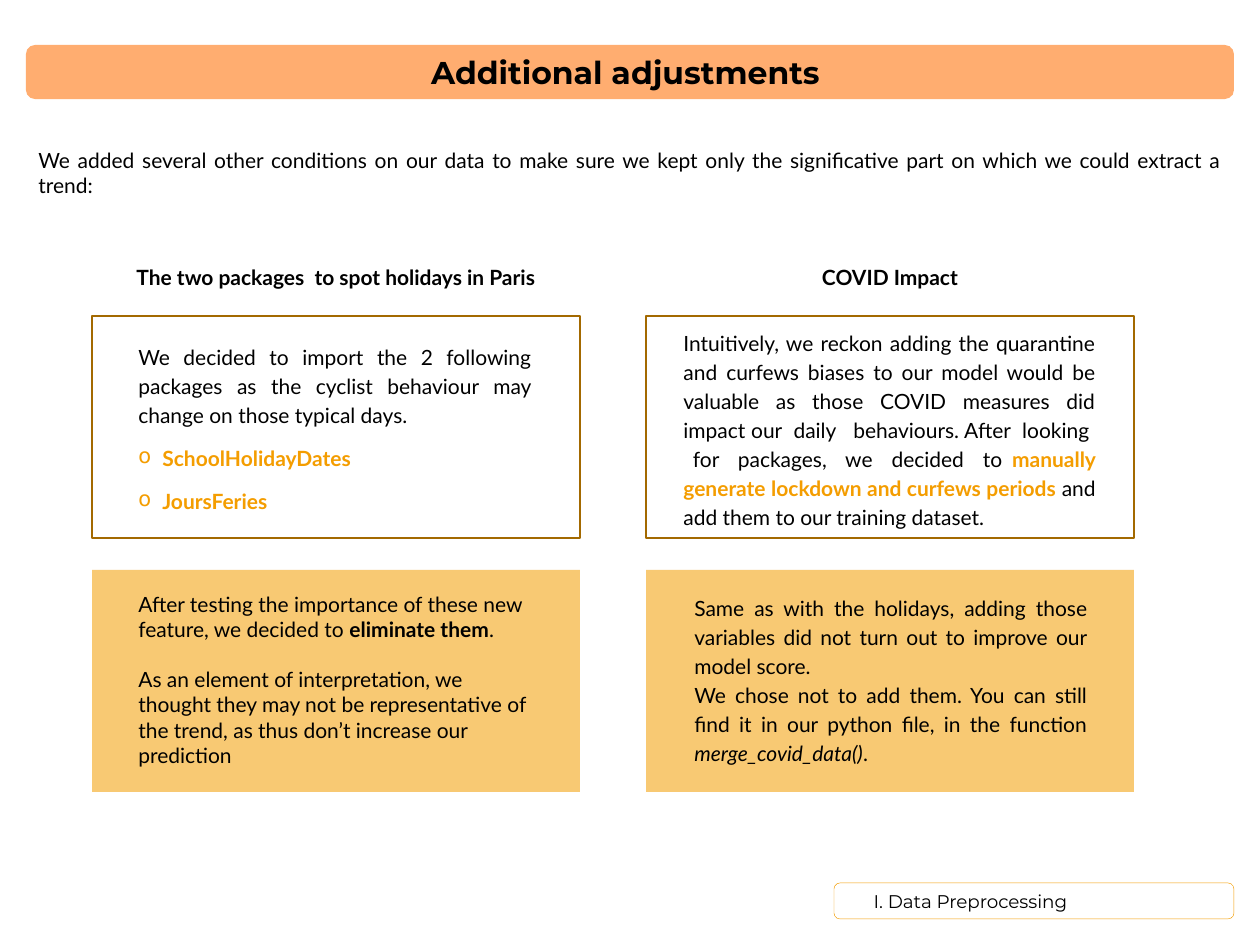
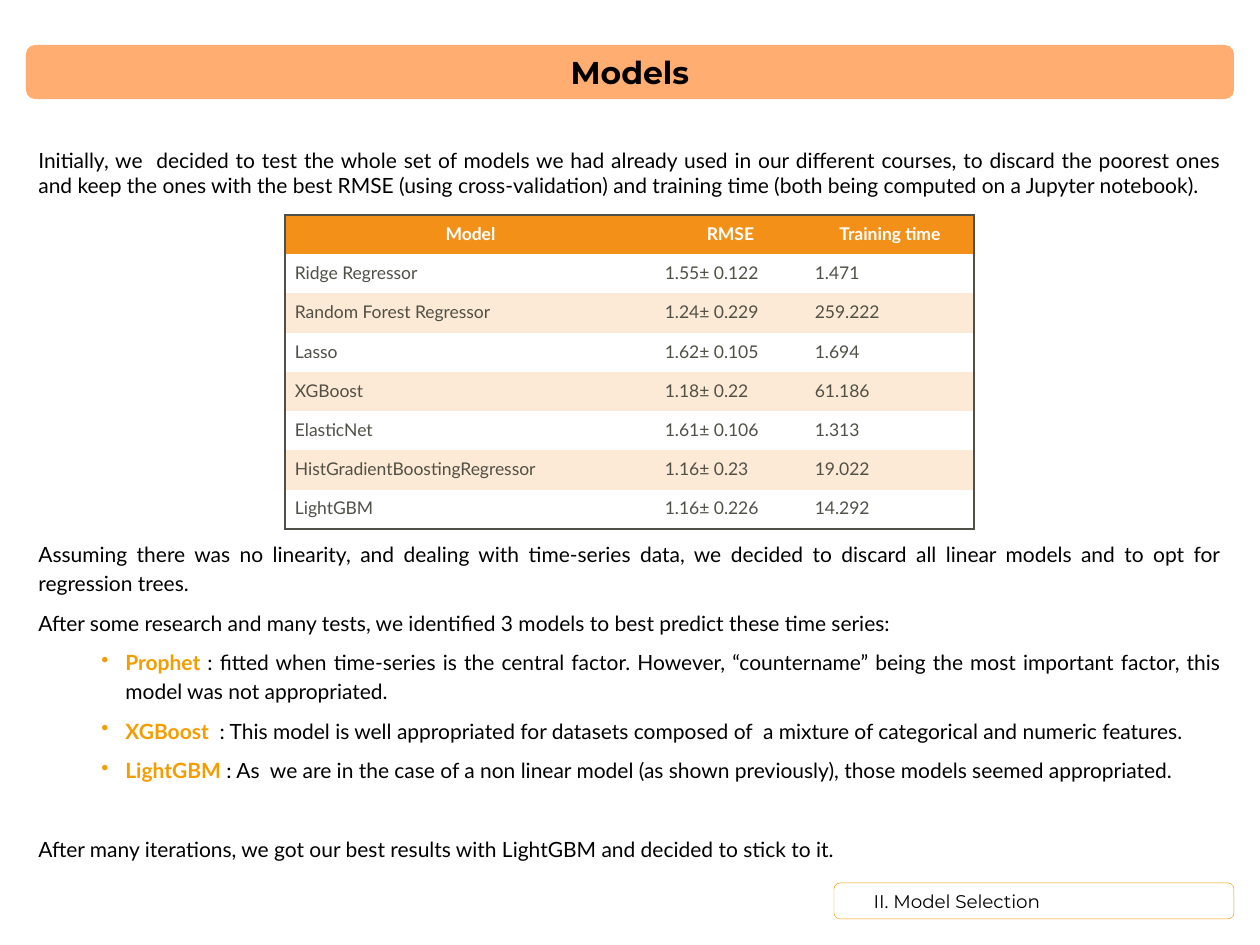
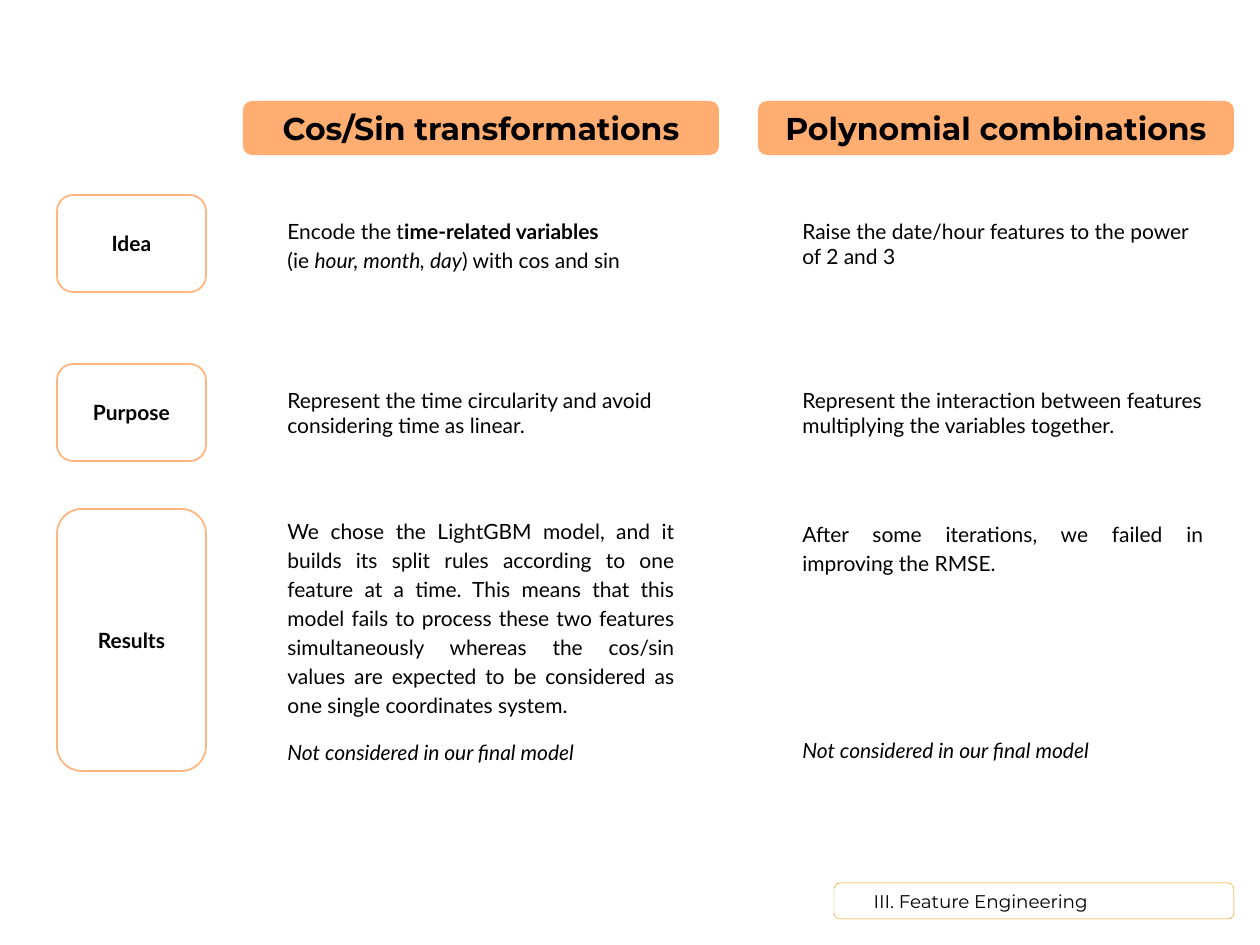
from lxml import etree
from pptx import Presentation
from pptx.dml.color import RGBColor
from pptx.enum.shapes import MSO_SHAPE
from pptx.enum.text import MSO_ANCHOR, PP_ALIGN
from pptx.oxml.ns import qn
from pptx.util import Emu, Pt

ROUNDED, RECT = MSO_SHAPE.ROUNDED_RECTANGLE, MSO_SHAPE.RECTANGLE
LEFT, CENTER, JUSTIFY = PP_ALIGN.LEFT, PP_ALIGN.CENTER, PP_ALIGN.JUSTIFY
TOP, MIDDLE = MSO_ANCHOR.TOP, MSO_ANCHOR.MIDDLE
PX_PER_INCH = 126


class Theme:
    # Colours
    black, white, grey = "000000", "FFFFFF", "505046"
    band, accent, card_line, label_line = "FF8427", "F49D00", "A36900", "FFB57D"
    header, stripe = "F39017", "FDEAD6"
    # Type
    title = {"name": "Montserrat", "size": Pt(18), "bold": True, "color": black}
    footer = {"name": "Montserrat", "size": Pt(10.5), "color": black}
    body = {"name": "Lato", "size": Pt(12), "color": black}
    heading = {**body, "bold": True}
    cell = {"name": "Lato", "size": Pt(10), "color": grey}
    header_cell = {**cell, "color": white, "bold": True}
    # Run emphasis
    strong, italic = {"bold": True}, {"italic": True}
    key = {"bold": True, "color": accent}
    # Paragraph formats
    loose = {"alignment": JUSTIFY, "line_spacing": 1.15}
    spaced = {**loose, "space_before": Pt(6)}


def px(length):
    return Emu(round(length * 914400 / PX_PER_INCH))


def rgb(color):
    return RGBColor.from_string(color)


def apply(target, values):
    for attribute, value in values.items():
        setattr(target, attribute, value)


# ---- Text ----
def para(*runs, bullet=None, margin=0, hang=0, **layout):
    """Describe a paragraph; a run is a string or a (string, style) pair."""
    return {"runs": runs, "bullet": bullet, "margin": margin, "hang": hang,
            "layout": layout}


def add_run(paragraph, words, style):
    run = paragraph.add_run()
    run.text = words
    apply(run.font, {k: v for k, v in style.items() if k != "color"})
    run.font.color.rgb = rgb(style["color"])


def fill_paragraph(paragraph, content, style):
    apply(paragraph, content["layout"])
    properties = paragraph._p.get_or_add_pPr()
    if content["margin"]:
        properties.set("marL", str(px(content["margin"])))
        properties.set("indent", str(-px(content["hang"])))
    if content["bullet"]:
        etree.SubElement(properties, qn("a:buChar")).set("char", content["bullet"])
    for run in content["runs"]:
        words, emphasis = (run, {}) if isinstance(run, str) else run
        add_run(paragraph, words, {**style, **emphasis})


def write(frame, paragraphs, style, **frame_format):
    apply(frame, {"word_wrap": True, **frame_format})
    for index, content in enumerate(paragraphs):
        paragraph = frame.add_paragraph() if index else frame.paragraphs[0]
        fill_paragraph(paragraph, content, style)


def add_text(slide, box, *paragraphs, style=Theme.body):
    textbox = slide.shapes.add_textbox(*map(px, box))
    write(textbox.text_frame, paragraphs, style, vertical_anchor=TOP)


# ---- Panels ----
def add_panel(slide, kind, box, fill=None, opacity=100, line=None, width=1):
    panel = slide.shapes.add_shape(kind, *map(px, box))
    panel.shadow.inherit = False
    if fill:
        panel.fill.solid()
        panel.fill.fore_color.rgb = rgb(fill)
        if opacity < 100:
            color = panel.fill._xPr.find(".//" + qn("a:srgbClr"))
            etree.SubElement(color, qn("a:alpha")).set("val", str(opacity * 1000))
    else:
        panel.fill.background()
    if line:
        panel.line.color.rgb = rgb(line)
        panel.line.width = Pt(width)
    else:
        panel.line.fill.background()
    return panel


def add_band(slide, title, left=26, top=45, width=1208):
    band = add_panel(slide, ROUNDED, (left, top, width, 54), Theme.band, 66)
    write(band.text_frame, [para(title, alignment=CENTER)], Theme.title,
          vertical_anchor=MIDDLE)


def add_footer(slide, section):
    footer = add_panel(slide, ROUNDED, (834, 883, 400, 36),
                       line=Theme.accent, width=0.25)
    write(footer.text_frame, [para(section, margin=25, alignment=LEFT)],
          Theme.footer, vertical_anchor=MIDDLE,
          margin_left=px(13), margin_right=px(13))


def add_intro(slide, words):
    add_text(slide, (26, 141, 1208, 65), para(words, alignment=JUSTIFY))


def add_label(slide, words, top, height):
    label = add_panel(slide, ROUNDED, (57, top, 149, height), line=Theme.label_line)
    write(label.text_frame, [para(words, alignment=CENTER)], Theme.heading,
          vertical_anchor=MIDDLE)


def add_topic(slide, left, heading):
    """A heading above an outlined card and a tinted card."""
    add_text(slide, (left, 258, 488, 63), para(heading, alignment=CENTER),
             style=Theme.heading)
    add_panel(slide, RECT, (left, 316, 488, 222), Theme.white, line=Theme.card_line)
    add_panel(slide, RECT, (left, 570, 488, 222), Theme.accent, 55)


# ---- Table ----
def set_borders(cell, edges):
    """Draw the edges that are True and clear the others."""
    properties = cell._tc.get_or_add_tcPr()
    for index, (side, drawn) in enumerate(edges.items()):
        line = etree.Element(qn("a:ln" + side), w=str(Pt(1)))
        if drawn:
            solid = etree.SubElement(line, qn("a:solidFill"))
            etree.SubElement(solid, qn("a:srgbClr")).set("val", Theme.grey)
        else:
            etree.SubElement(line, qn("a:noFill"))
        properties.insert(index, line)


def add_scores(slide, left, top, height, widths, rows):
    box = (left, top, sum(widths), height)
    table = slide.shapes.add_table(len(rows), len(widths), *map(px, box)).table
    apply(table, {"first_row": False, "horz_banding": False})
    for column, width in zip(table.columns, widths):
        column.width = px(width)
    last_row, last_column = len(rows) - 1, len(widths) - 1
    margins = {"margin_left": px(10), "margin_top": px(5),
               "margin_right": px(9), "margin_bottom": 0}
    for r, row in enumerate(rows):
        fill = (Theme.white, Theme.stripe)[r % 2 == 0] if r else Theme.header
        for c, words in enumerate(row):
            cell = table.cell(r, c)
            apply(cell, margins)
            cell.fill.solid()
            cell.fill.fore_color.rgb = rgb(fill)
            set_borders(cell, {"L": c == 0, "R": c == last_column,
                               "T": r == 0, "B": r == last_row})
            content = para(words, alignment=LEFT if r else CENTER, line_spacing=1.15)
            write(cell.text_frame, [content], Theme.cell if r else Theme.header_cell)


# ---- Slides ----
def build_adjustments(slide):
    add_band(slide, "Additional adjustments ")
    add_footer(slide, "I. Data Preprocessing")
    add_intro(slide, "We added several other conditions on our data to make sure we "
              "kept only the significative part on which we could extract a trend: ")

    # Holidays
    add_topic(slide, 92, "The two packages  to spot holidays in Paris")
    padded = {**Theme.loose, "space_before": Pt(4), "space_after": Pt(4)}
    packages = [para((name, Theme.key), bullet="o", margin=24, hang=24, **padded)
                for name in ("SchoolHolidayDates", "JoursFeries")]
    add_text(slide, (126, 335, 418, 184),
             para("We decided to import the 2 following packages as the cyclist "
                  "behaviour may change on those typical days. ", **padded),
             *packages)
    add_text(slide, (126, 585, 418, 190),
             para("After testing the importance of these new feature, we decided to ",
                  ("eliminate them", Theme.strong), "."),
             para("As an element of interpretation, we thought they may not be "
                  "representative of the trend, as thus don’t increase our prediction",
                  space_before=Pt(14.4)))

    # COVID
    add_topic(slide, 646, "COVID Impact")
    add_text(slide, (671, 321, 437, 215),
             para("Intuitively, we reckon adding the quarantine and curfews biases to "
                  "our model would be valuable as those COVID measures did impact our  "
                  "daily   behaviours. After  looking   for  packages,  we  decided  to ",
                  ("manually generate lockdown and curfews periods ", Theme.key),
                  "and add them to our training dataset. ", **Theme.loose))
    add_text(slide, (682, 586, 418, 185),
             para("Same as with the holidays, adding those variables did not turn out "
                  "to improve our model score. ", **Theme.loose),
             para("We chose not to add them. You can still find it in our python file, "
                  "in the function ", ("merge_covid_data()", Theme.italic), ". ",
                  **Theme.loose))


def build_models(slide):
    add_band(slide, "Models")
    add_footer(slide, "II. Model Selection")
    add_intro(slide, "Initially, we  decided to test the whole set of models we had "
              "already used in our different courses, to discard the poorest ones and "
              "keep the ones with the best RMSE (using cross-validation) and training "
              "time (both being computed on a Jupyter notebook).")
    add_scores(slide, 285, 215, 314, (370, 150, 169), [
        ("Model", "RMSE", "Training time"),
        ("Ridge Regressor", "1.55± 0.122", "1.471"),
        ("Random Forest Regressor", "1.24± 0.229", "259.222"),
        ("Lasso", "1.62± 0.105", "1.694"),
        ("XGBoost", "1.18± 0.22", "61.186"),
        ("ElasticNet", "1.61± 0.106", "1.313"),
        ("HistGradientBoostingRegressor", "1.16± 0.23", "19.022"),
        ("LightGBM", "1.16± 0.226", "14.292"),
    ])

    # Shortlisted models
    shortlist = [
        ("Prophet ", ": fitted when time-series is the central factor. However, "
         "“countername” being the most important factor, this model was not "
         "appropriated."),
        ("XGBoost", "  : This model is well appropriated for datasets composed of  a "
         "mixture of categorical and numeric features."),
        ("LightGBM", " : As  we are in the case of a non linear model (as shown "
         "previously), those models seemed appropriated. "),
    ]
    add_text(slide, (26, 532, 1208, 336),
             para("Assuming there was no linearity, and dealing with time-series data, "
                  "we decided to discard all linear models and to opt for regression "
                  "trees. ", **Theme.spaced),
             para("After some research and many tests, we identified 3 models to best "
                  "predict these time series: ", **Theme.spaced),
             *[para((model, Theme.key), reason, bullet="•", margin=87, hang=24,
                    **Theme.spaced) for model, reason in shortlist],
             para("After many iterations, we got our best results with LightGBM and "
                  "decided to stick to it.",
                  **{**Theme.spaced, "space_before": Pt(28.5)}))


def build_features(slide):
    add_band(slide, "Cos/Sin transformations", 243, 101, 476)
    add_band(slide, "Polynomial combinations", 758, 101, 476)
    add_footer(slide, "III. Feature Engineering")
    for words, top, height in (("Idea", 195, 97), ("Purpose", 364, 97),
                               ("Results", 509, 262)):
        add_label(slide, words, top, height)
    verdict = para(("Not considered in our final model", Theme.italic),
                   space_before=Pt(10), **Theme.loose)

    # Each entry: top, height, paragraphs
    cos_sin = [
        (209, 68, [para("Encode the t", ("ime-related variables", Theme.strong),
                        **Theme.loose),
                   para("(ie ", ("hour, month, day", Theme.italic),
                        ") with cos and sin", **Theme.loose)]),
        (381, 63, [para("Represent the time circularity and avoid considering time "
                        "as linear.")]),
        (509, 262, [para("We chose the LightGBM model, and it builds its split rules "
                         "according to one feature at a time. This means that this "
                         "model fails to process these two features simultaneously "
                         "whereas the cos/sin values are expected to be considered as "
                         "one single coordinates system. ", **Theme.loose), verdict]),
    ]
    polynomial = [
        (212, 63, [para("Raise the date/hour features to the power of 2 and 3")]),
        (381, 63, [para("Represent the interaction between features multiplying the "
                        "variables together.")]),
        (512, 116, [para("After some iterations, we failed in improving the RMSE.",
                         **Theme.loose)]),
        (728, 39, [verdict]),
    ]
    for left, width, entries in ((275, 412, cos_sin), (790, 426, polynomial)):
        for top, height, paragraphs in entries:
            add_text(slide, (left, top, width, height), *paragraphs)


def main():
    deck = Presentation()
    apply(deck, {"slide_width": px(1260), "slide_height": px(945)})
    blank = deck.slide_layouts[6]
    for build in (build_adjustments, build_models, build_features):
        build(deck.slides.add_slide(blank))
    deck.save("out.pptx")


if __name__ == "__main__":
    main()
